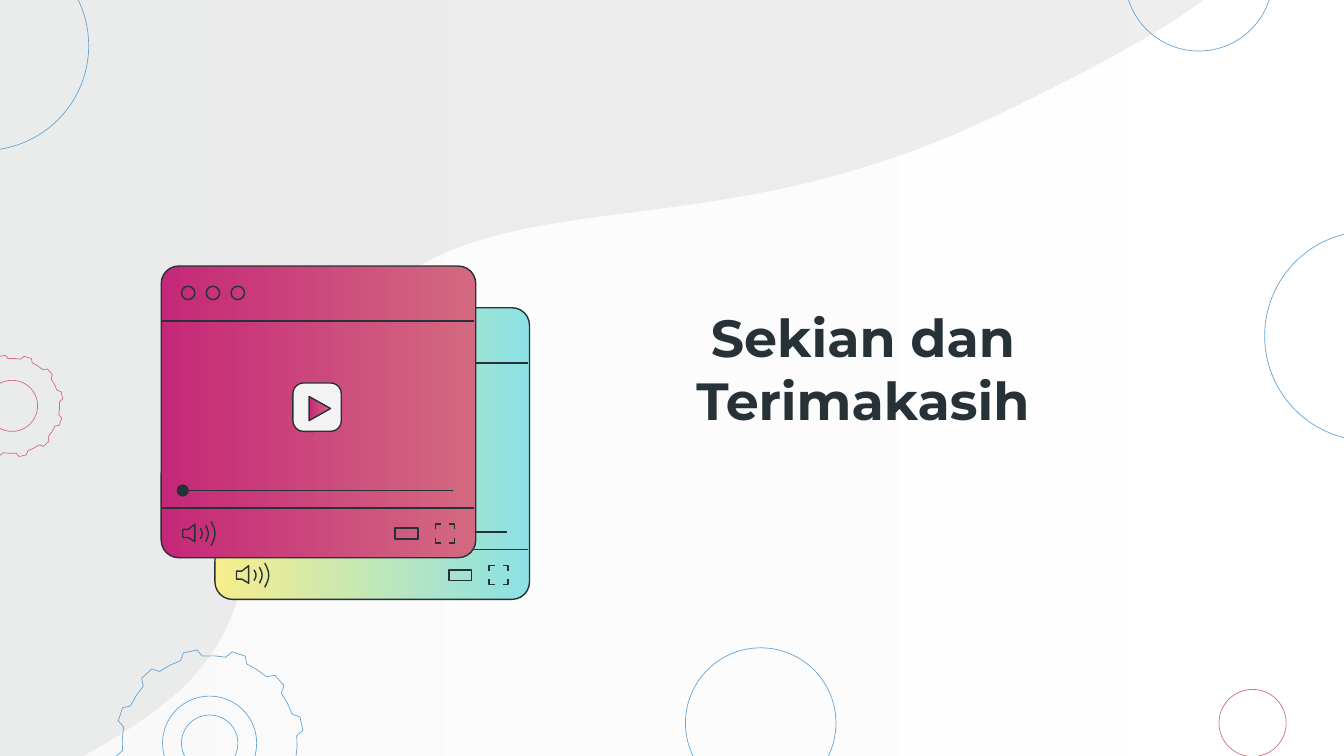
from dataclasses import dataclass
from math import cos, pi, radians, sin

from lxml import etree
from pptx import Presentation
from pptx.dml import color
from pptx.enum import shapes, text
from pptx.oxml import ns
from pptx.util import Inches, Pt


@dataclass(frozen=True)
class Theme:
    font: str = "Montserrat"
    title_size: float = 28
    ink: str = "263238"
    blue: str = "63A4D5"
    rose: str = "D36980"
    magenta: str = "C52878"
    yellow: str = "F7ED8B"
    cyan: str = "8BE1E5"
    white: str = "FFFFFF"
    pale: str = "F3F3F3"
    grey: str = "D6D7D7"
    thin: float = 0.36
    stroke: float = 0.75


theme = Theme()


def paint(shape, fill=(), line=None, width=theme.stroke, angle=0, opacity=None):
    shape.shadow.inherit = False
    if len(fill) == 2:
        shape.fill.gradient()
        shape.fill.gradient_angle = angle
        for stop, value in zip(shape.fill.gradient_stops, fill):
            stop.color.rgb = color.RGBColor.from_string(value)
    elif fill:
        shape.fill.solid()
        shape.fill.fore_color.rgb = color.RGBColor.from_string(fill[0])
    else:
        shape.fill.background()
    if opacity:
        for node in shape.element.spPr.iter(ns.qn("a:srgbClr")):
            etree.SubElement(node, ns.qn("a:alpha"), val=str(opacity * 1000))
    if line:
        shape.line.color.rgb = color.RGBColor.from_string(line)
        shape.line.width = Pt(width)
    else:
        shape.line.fill.background()


def draw_path(canvas, points, close=False):
    points = [(Inches(x), Inches(y)) for x, y in points]
    builder = canvas.build_freeform(*points[0])
    builder.add_line_segments(points[1:], close=close)
    return builder.convert_to_shape()


presentation = Presentation()
presentation.slide_width = Inches(10)
presentation.slide_height = Inches(10 * 9 / 16)
slide = presentation.slides.add_slide(presentation.slide_layouts[5])
canvas = slide.shapes

backdrop = canvas.add_shape(
    shapes.MSO_SHAPE.RECTANGLE, Inches(-0.07), Inches(-0.07), Inches(10.14), Inches(5.77))
paint(backdrop, (theme.white, theme.pale), angle=180, opacity=41)

wave = [(-0.15, -0.25), (-0.15, 5.88), (0.01, 5.88)]
wave_curves = [
    ((0.33, 5.78), (0.74, 5.6), (1.19, 5.26)),
    ((2.14, 4.55), (1.62, 3.69), (2.57, 2.46)),
    ((3.51, 1.23), (5.11, 1.95), (7.35, 0.89)),
    ((8.38, 0.4), (8.85, 0.1), (9.07, -0.09)),
]
for curve in wave_curves:
    controls = (wave[-1], *curve)
    for step in range(1, 25):
        t = step / 24
        weights = ((1 - t) ** 3, 3 * t * (1 - t) ** 2, 3 * t * t * (1 - t), t ** 3)
        wave.append(tuple(
            sum(weight * point[axis] for weight, point in zip(weights, controls))
            for axis in (0, 1)))
wave.append((9.07, -0.25))
paint(draw_path(canvas, wave, close=True), (theme.grey,), opacity=41)

gears = [(0.09, 3.02, 0.38, theme.rose), (1.56, 5.53, 0.7, theme.blue)]
tooth = [(-4.9, 0.93), (-7.8, 1), (-16.2, 1), (-19.4, 0.93), (-27, 0.93)]
for x, y, radius, line in gears:
    rim = []
    for turn in range(0, 360, 30):
        for offset, reach in tooth:
            angle = radians(offset - turn)
            rim.append((x + radius * reach * cos(angle), y + radius * reach * sin(angle)))
    paint(draw_path(canvas, rim, close=True), line=line, width=theme.thin)

circles = [
    (8.92, -0.17, 0.55, theme.blue),
    (10.19, 2.5, 0.78, theme.blue),
    (9.32, 5.38, 0.25, theme.rose),
    (5.66, 5.38, 0.56, theme.blue),
    (-0.12, 0.34, 0.78, theme.blue),
    (0.09, 3.02, 0.19, theme.rose),
    (1.56, 5.53, 0.35, theme.blue),
    (1.56, 5.53, 0.21, theme.blue),
]
for x, y, radius, line in circles:
    circle = canvas.add_shape(
        shapes.MSO_SHAPE.OVAL, Inches(x - radius), Inches(y - radius),
        Inches(2 * radius), Inches(2 * radius))
    paint(circle, line=line, width=theme.thin)

players = [
    (1.6, 2.29, (theme.yellow, theme.cyan), theme.white),
    (1.2, 1.98, (theme.magenta, theme.rose), theme.ink),
]
for left, top, window_fill, knob_fill in players:
    player = canvas.add_group_shape().shapes
    boxes = [
        (shapes.MSO_SHAPE.ROUNDED_RECTANGLE, 0, 0, 2.34, 2.17, window_fill, 0.06),
        (shapes.MSO_SHAPE.ROUNDED_RECTANGLE, 0.98, 0.87, 0.36, 0.36, (theme.pale,), 0.22),
        (shapes.MSO_SHAPE.RECTANGLE, 1.74, 1.95, 0.17, 0.08, (), None),
    ]
    for index in range(3):
        boxes.append(
            (shapes.MSO_SHAPE.OVAL, 0.15 + 0.185 * index, 0.15, 0.1, 0.1, (), None))
    for kind, x, y, width, height, fill, corner in boxes:
        box = player.add_shape(
            kind, Inches(left + x), Inches(top + y), Inches(width), Inches(height))
        if corner:
            box.adjustments[0] = corner
        paint(box, fill, theme.ink)

    for x, y, width in [(0, 0.41, 2.33), (0, 1.8, 2.33), (0.15, 1.67, 2.02)]:
        rule = player.add_connector(
            shapes.MSO_CONNECTOR.STRAIGHT, Inches(left + x), Inches(top + y),
            Inches(left + x + width), Inches(top + y))
        rule.line.color.rgb = color.RGBColor.from_string(theme.ink)
        rule.line.width = Pt(theme.stroke)
        etree.SubElement(rule.element.spPr, ns.qn("a:effectLst"))

    knob = player.add_shape(
        shapes.MSO_SHAPE.OVAL, Inches(left + 0.12), Inches(top + 1.63),
        Inches(0.08), Inches(0.08))
    paint(knob, (knob_fill,), theme.ink)

    speaker = [(0.16, 1.96), (0.16, 2.02), (0.2, 2.02), (0.25, 2.05), (0.25, 1.92), (0.2, 1.96)]
    outlines = [
        ([(1.1, 0.97), (1.1, 1.15), (1.26, 1.06)], (theme.magenta, theme.rose), True),
        (speaker, (), True),
    ]
    for x, half_height, bulge in [(0.29, 0.04, 0.015), (0.33, 0.06, 0.02), (0.37, 0.09, 0.03)]:
        sound_wave = [
            (x + bulge * sin(pi * step / 8), 1.99 + half_height * (step / 4 - 1))
            for step in range(9)]
        outlines.append((sound_wave, (), False))
    for x, inward_x in [(2.04, 0.04), (2.18, -0.04)]:
        for y, inward_y in [(1.92, 0.04), (2.06, -0.04)]:
            bracket = [(x, y + inward_y), (x, y), (x + inward_x, y)]
            outlines.append((bracket, (), False))
    for points, fill, close in outlines:
        placed = [(left + x, top + y) for x, y in points]
        paint(draw_path(player, placed, close), fill, theme.ink)

title = canvas.title
title.element.getparent().append(title.element)
title.left, title.top = Inches(4.44), Inches(2.54)
title.width, title.height = Inches(3.96), Inches(0.4)
frame = title.text_frame
frame.word_wrap = True
frame.auto_size = text.MSO_AUTO_SIZE.NONE
frame.vertical_anchor = text.MSO_ANCHOR.MIDDLE
frame.margin_left = frame.margin_right = Inches(0.1)
frame.margin_top = frame.margin_bottom = Inches(0.1)
paragraph = frame.paragraphs[0]
paragraph.alignment = text.PP_ALIGN.CENTER
run = paragraph.add_run()
run.text = "Sekian dan Terimakasih"
run.font.name = theme.font
run.font.size = Pt(theme.title_size)
run.font.bold = True
run.font.color.rgb = color.RGBColor.from_string(theme.ink)

presentation.save("out.pptx")
